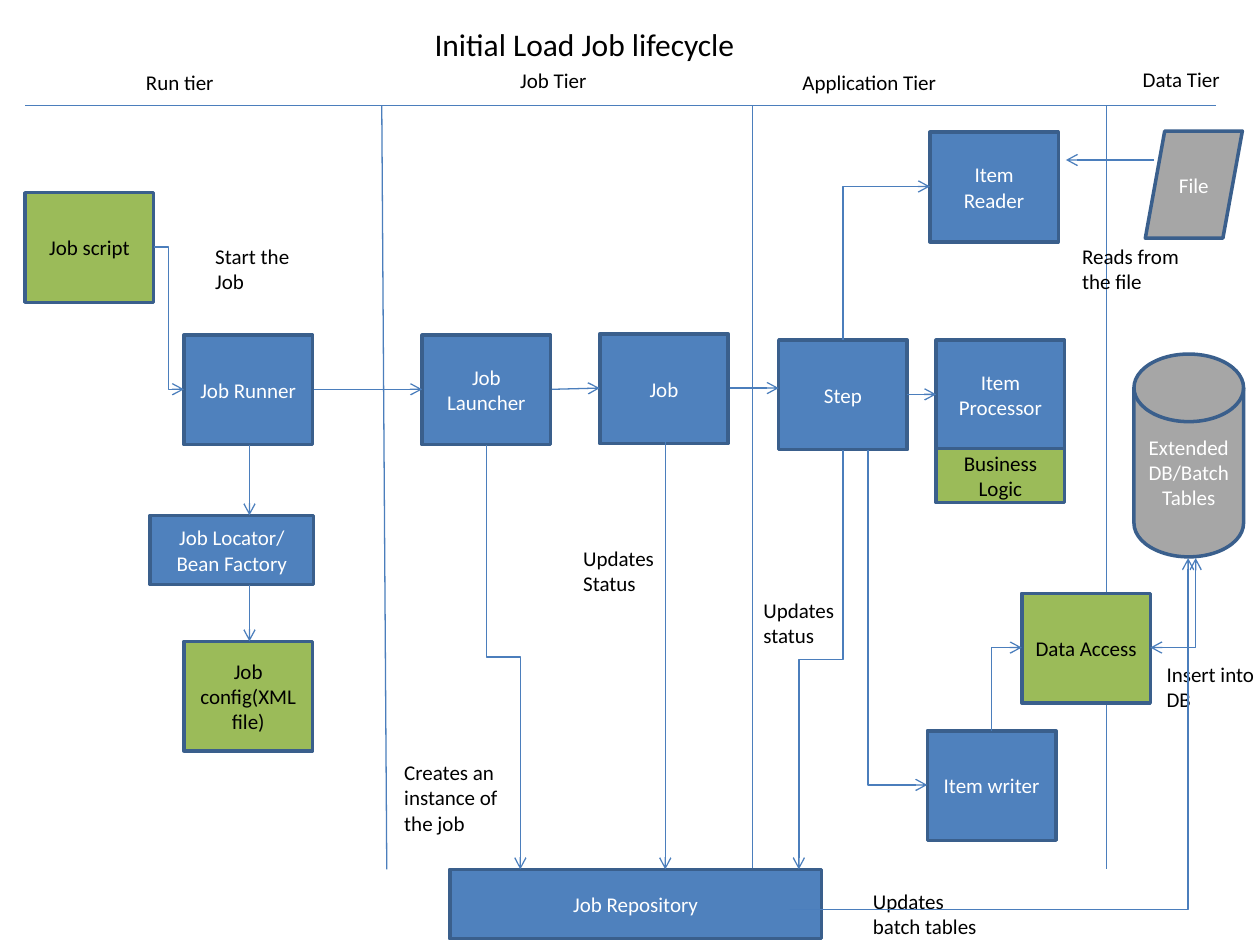
from lxml.etree import SubElement
from pptx import Presentation
from pptx.dml.color import RGBColor
from pptx.enum.shapes import MSO_CONNECTOR, MSO_SHAPE
from pptx.enum.text import MSO_ANCHOR, MSO_AUTO_SIZE, PP_ALIGN
from pptx.oxml.ns import qn
from pptx.util import Inches, Pt

BLUE = RGBColor(0x4F, 0x81, 0xBD)
GREEN = RGBColor(0x9B, 0xBB, 0x59)
GRAY = RGBColor(0xA6, 0xA6, 0xA6)
OUTLINE = RGBColor(0x3A, 0x5F, 0x8C)
FLOW = RGBColor(0x4B, 0x7E, 0xBC)
WHITE = RGBColor(0xFF, 0xFF, 0xFF)
BLACK = RGBColor(0, 0, 0)
FONT = "Calibri"
TIER_TOP, TIER_BOTTOM = 0.84, 6.9
STEP_WIDTH, STEP_HEIGHT = 1.02, 0.87


def write(frame, text, color, size=12, align=PP_ALIGN.LEFT):
    """Write each line of the text as one paragraph with one run."""
    for index, words in enumerate(text.split("\n")):
        paragraph = frame.add_paragraph() if index else frame.paragraphs[0]
        paragraph.alignment = align
        run = paragraph.add_run()
        run.text = words
        run.font.name = FONT
        run.font.size = Pt(size)
        run.font.color.rgb = color


def add_label(slide, text, left, top, width=STEP_WIDTH, height=0.5, size=12, wrap=True):
    """Add free text."""
    label = slide.shapes.add_textbox(Inches(left), Inches(top), Inches(width), Inches(height))
    label.text_frame.word_wrap = wrap
    label.text_frame.auto_size = MSO_AUTO_SIZE.SHAPE_TO_FIT_TEXT
    write(label.text_frame, text, BLACK, size)


def add_node(slide, text, left, top, fill=BLUE, width=STEP_WIDTH, height=STEP_HEIGHT,
             preset=MSO_SHAPE.RECTANGLE):
    """Add one outlined part of the job with centred text."""
    node = slide.shapes.add_shape(preset, Inches(left), Inches(top), Inches(width), Inches(height))
    node.shadow.inherit = False
    node.fill.solid()
    node.fill.fore_color.rgb = fill
    node.line.color.rgb = OUTLINE
    node.line.width = Pt(2)
    node.text_frame.word_wrap = True
    node.text_frame.vertical_anchor = MSO_ANCHOR.MIDDLE
    write(node.text_frame, text, BLACK if fill == GREEN else WHITE, align=PP_ALIGN.CENTER)


def add_line(slide, start, end, ends=(), kind=MSO_CONNECTOR.STRAIGHT):
    """Add a thin line with open arrowheads at the named ends."""
    line = slide.shapes.add_connector(kind, *(Inches(value) for value in (*start, *end)))
    line.line.color.rgb = FLOW
    line.line.width = Pt(0.75)
    outline = line.line._get_or_add_ln()
    for name in ends:
        SubElement(outline, qn(f"a:{name}"), type="arrow")
    SubElement(line._element.spPr, qn("a:effectLst"))
    return line


def add_elbow(slide, start, end, bends, vertical=False, ends=("tailEnd",)):
    """Add a bent arrow that leaves its start sideways or vertically."""
    turn = 0
    if vertical:
        run, rise = end[0] - start[0], end[1] - start[1]
        turn = 270 if run * rise > 0 else 90
        sign = 1 if turn == 90 else -1
        middle = ((start[0] + end[0]) / 2, (start[1] + end[1]) / 2)
        half = (sign * rise / 2, -sign * run / 2)
        start = (middle[0] - half[0], middle[1] - half[1])
        end = (middle[0] + half[0], middle[1] + half[1])
    elbow = add_line(slide, start, end, ends, MSO_CONNECTOR.ELBOW)
    properties = elbow._element.spPr
    properties.find(qn("a:prstGeom")).set("prst", f"bentConnector{bends + 1}")
    if turn:
        properties.find(qn("a:xfrm")).set("rot", str(turn * 60000))


def add_header(slide, left, top):
    """Add the title, the rule below it and the tier dividers."""
    add_label(slide, "Initial Load Job lifecycle", left + 3.15, top - 0.69, 2.61, 0.4, 18, False)
    add_line(slide, (left, top), (left + 9.45, top))
    for upper, lower in ((3.03, 3.07), (5.97, 5.97), (8.78, 8.78)):
        add_line(slide, (upper, top), (lower, TIER_BOTTOM))


def add_run_tier(slide, left, top):
    """Add the script, the runner and its configuration."""
    add_label(slide, "Run tier", left + 1.06, top - 0.34, 1.42, 0.3)
    add_node(slide, "Job script", left + 0.2, top + 0.69, GREEN)
    add_node(slide, "Job Runner", left + 1.46, top + 1.82)
    add_node(slide, "Job Locator/ Bean Factory", left + 1.19, top + 3.25, width=1.3, height=0.55)
    add_node(slide, "Job config(XML file)", left + 1.46, top + 4.25, GREEN)
    add_label(slide, "Start the Job", left + 1.61, top + 1.04)


def add_job_tier(slide, left, top):
    """Add the launcher, the job and the repository."""
    add_label(slide, "Job Tier", left + 1, top - 0.35, height=0.3)
    add_node(slide, "Job Launcher", left + 0.32, top + 1.82)
    add_node(slide, "Job", left + 1.73, top + 1.81)
    add_node(slide, "Job Repository", left + 0.54, top + 6.06, width=2.95, height=0.55)
    add_label(slide, "Creates an instance of the job", left + 0.08, top + 5.14, height=0.71)
    add_label(slide, "Updates Status", left + 1.5, top + 3.44)


def add_application_tier(slide, left, top):
    """Add the step and the item parts it drives."""
    add_label(slide, "Application Tier", left + 0.3, top - 0.34, 1.55, 0.3)
    add_node(slide, "Step", left + 0.21, top + 1.86)
    add_node(slide, "Item Reader", left + 1.41, top + 0.21)
    add_node(slide, "Item Processor", left + 1.46, top + 1.86)
    add_node(slide, "Business\nLogic", left + 1.46, top + 2.72, GREEN, height=0.43)
    add_node(slide, "Item writer", left + 1.39, top + 4.96)
    add_node(slide, "Data Access", left + 2.14, top + 3.87, GREEN)
    add_label(slide, "Updates status", left - 0.01, top + 3.85)
    add_label(slide, "Updates batch tables", left + 0.86, top + 6.16)
    add_label(slide, "Reads from the file", left + 2.52, top + 1.04)


def add_data_tier(slide, left, top):
    """Add the file and the database."""
    add_label(slide, "Data Tier", left + 0.19, top - 0.36, height=0.3)
    add_node(slide, "File", left + 0.31, top + 0.2, GRAY, 0.77, 0.85,
             MSO_SHAPE.FLOWCHART_DATA)
    add_node(slide, "Extended DB/Batch Tables", left + 0.22, top + 1.97, GRAY, 0.87, 1.61,
             MSO_SHAPE.FLOWCHART_MAGNETIC_DISK)
    add_label(slide, "Insert into DB", left + 0.38, top + 4.36)


def add_flows(slide):
    """Add the arrows between the parts of all tiers."""
    straight_flows = (
        ((1.98, 3.53), (1.98, 4.09)),
        ((1.98, 4.64), (1.98, 5.09)),
        ((2.49, 3.09), (3.35, 3.09)),
        ((4.38, 3.09), (4.76, 3.08)),
        ((5.28, 3.51), (5.28, 6.9)),
        ((5.79, 3.08), (6.18, 3.08)),
        ((7.2, 3.13), (7.43, 3.13)),
        ((9.16, 1.27), (8.46, 1.27)),
    )
    for start, end in straight_flows:
        add_line(slide, start, end, ("tailEnd",))
    vertical_flows = (
        ((3.86, 3.53), (4.13, 6.9), 2),
        ((6.69, 3.57), (6.34, 6.9), 2),
        ((6.69, 2.7), (7.38, 1.48), 1),
        ((6.89, 3.57), (7.36, 6.23), 1),
        ((7.87, 5.8), (8.11, 5.14), 1),
    )
    for start, end, bends in vertical_flows:
        add_elbow(slide, start, end, bends, vertical=True)
    add_elbow(slide, (1.22, 1.96), (1.46, 3.09), 2)
    add_elbow(slide, (6.27, 7.22), (9.43, 4.43), 1)
    add_elbow(slide, (9.13, 5.14), (9.49, 4.43), 1, ends=("headEnd", "tailEnd"))


def build():
    """Build the lifecycle slide and save it."""
    deck = Presentation()
    deck.slide_width, deck.slide_height = Inches(10), Inches(7.5)
    slide = deck.slides.add_slide(deck.slide_layouts[6])
    add_header(slide, 0.2, TIER_TOP)
    add_run_tier(slide, 0, TIER_TOP)
    add_job_tier(slide, 3.03, TIER_TOP)
    add_application_tier(slide, 5.97, TIER_TOP)
    add_data_tier(slide, 8.78, TIER_TOP)
    add_flows(slide)
    deck.save("out.pptx")


build()
